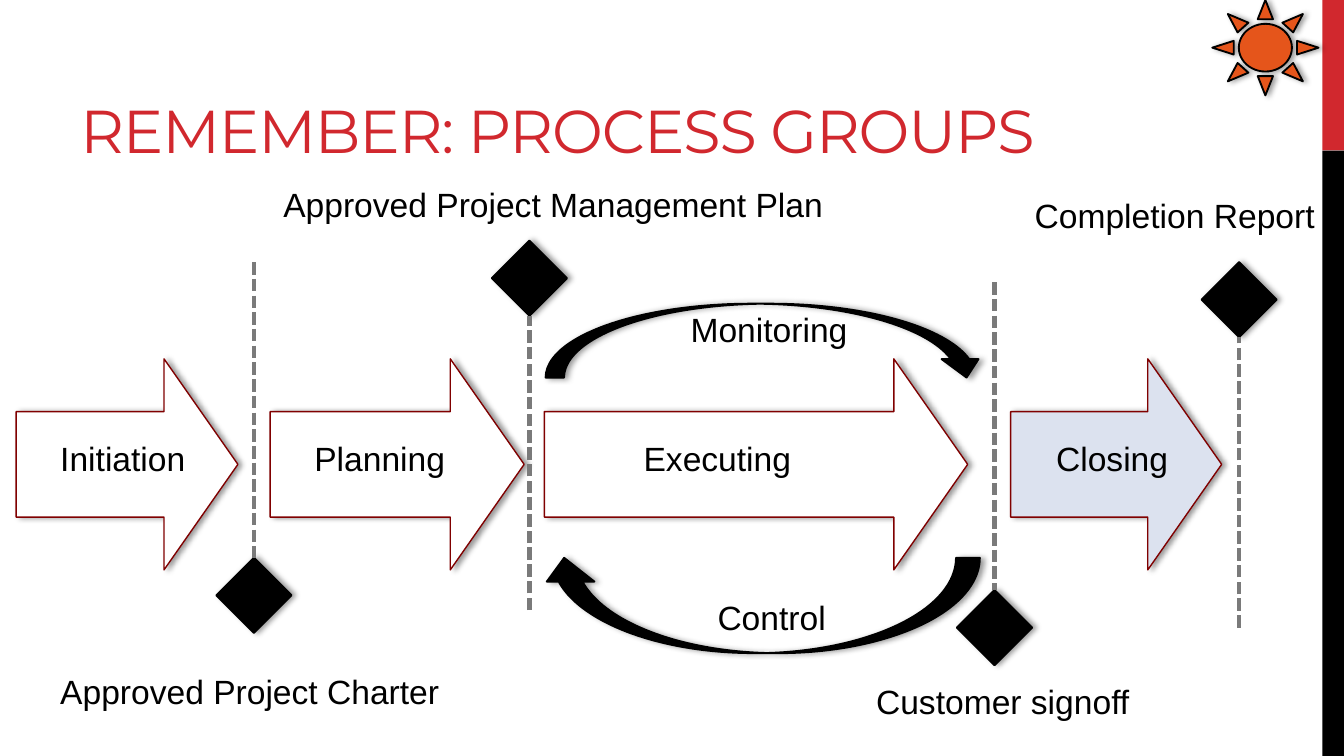
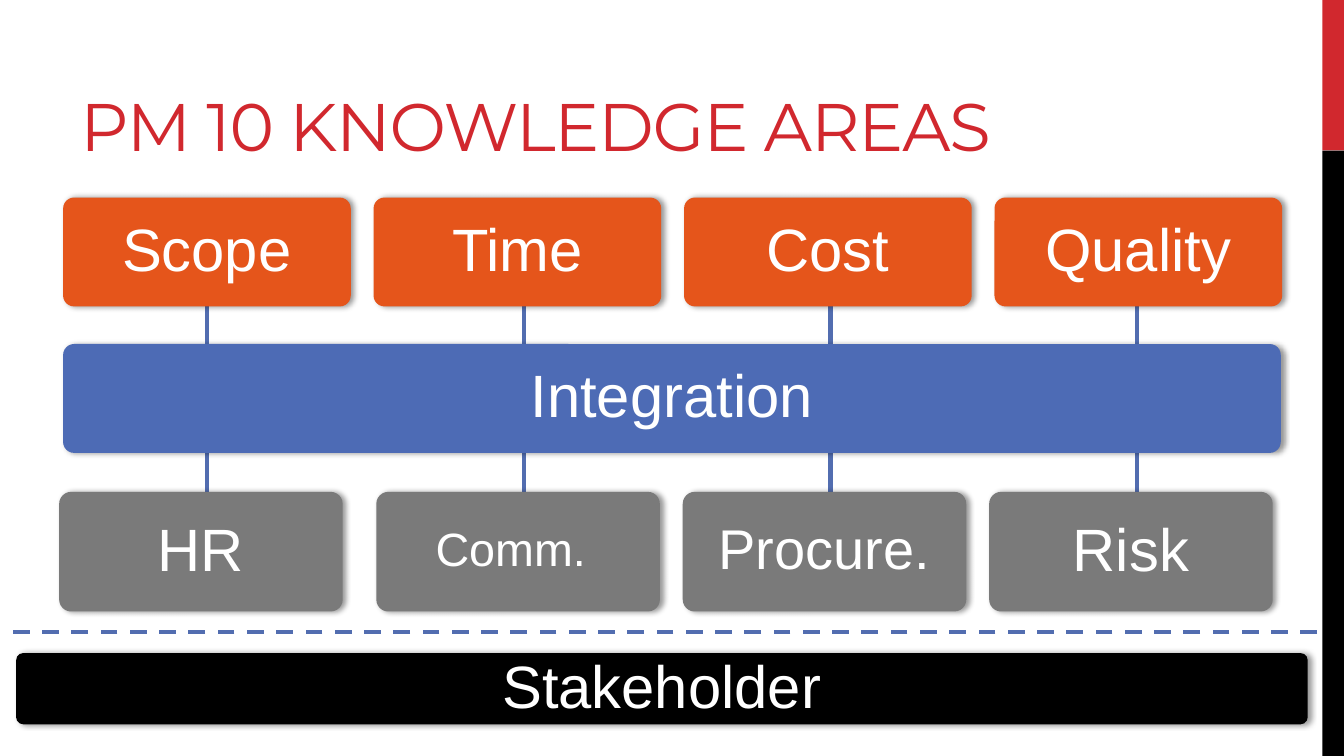
from dataclasses import dataclass
from typing import Any, Optional

from lxml import etree
from pptx import Presentation
from pptx.dml.color import RGBColor
from pptx.enum.dml import MSO_LINE
from pptx.enum.shapes import MSO_CONNECTOR, MSO_SHAPE
from pptx.enum.text import MSO_ANCHOR, MSO_AUTO_SIZE, PP_ALIGN
from pptx.oxml.ns import qn
from pptx.util import Pt

RECT, ROUNDED = MSO_SHAPE.RECTANGLE, MSO_SHAPE.ROUNDED_RECTANGLE
DOWN_ARROW, CURVED_ARROW = MSO_SHAPE.DOWN_ARROW, MSO_SHAPE.CURVED_UP_ARROW
DIAMOND, SUN = MSO_SHAPE.FLOWCHART_DECISION, MSO_SHAPE.SUN
STRAIGHT = MSO_CONNECTOR.STRAIGHT
SHORT_DASH, DASH = MSO_LINE.SQUARE_DOT, MSO_LINE.DASH
MIDDLE, BOTTOM = MSO_ANCHOR.MIDDLE, MSO_ANCHOR.BOTTOM
FIT_SHAPE, CENTER = MSO_AUTO_SIZE.SHAPE_TO_FIT_TEXT, PP_ALIGN.CENTER
TOP_SIDE, BOTTOM_SIDE = 0, 2

EMU_PER_PX = 9144
RED, BLACK, WHITE = "D1282E", "000000", "FFFFFF"
ORANGE, BLUE, GREY = "E5551B", "4D6BB5", "7A7A7A"
MAROON, PALE, LINE_BLUE = "800000", "DCE2EF", "526DB0"
BODY_FONT, TITLE_FONT = "Arial", "Montserrat"
FLOW_Y, ARROW_H, DIAMOND_SIZE = 345, 157, 56


@dataclass
class Stage:
    name: str
    left: int
    length: int
    label_left: int
    label_width: int
    fill: str = WHITE


@dataclass
class Loop:
    name: str
    frame: tuple[int, int, int, int]
    label: tuple[int, int, int, int]
    rotation: int = 0


@dataclass
class Milestone:
    name: str
    center: int
    top: int
    line_start: int
    label: tuple[int, int, int, int]


@dataclass
class Area:
    name: str
    frame: tuple[int, int, int, int]
    fill: str
    size: int = 32
    inset: int = 17
    shift: int = 0


STAGES = [
    Stage("Planning", 201, 189, 224, 118),
    Stage("Executing", 405, 315, 469, 131),
    Stage("Closing", 752, 157, 776, 104, PALE),
    Stage("Initiation", 12, 165, 35, 114),
]
LOOPS = [
    Loop("Monitoring", (406, 226, 327, 55), (504, 225, 138, 40)),
    Loop("Control", (402, 415, 327, 71), (524, 439, 102, 40), 180),
]
MILESTONES = [
    Milestone("Approved Project Charter", 189, 415, 195, (35, 494, 306, 40)),
    Milestone("Approved Project Management Plan", 394, 179, 454, (201, 132, 427, 40)),
    Milestone("Customer signoff", 740, 439, 210, (642, 502, 212, 40)),
    Milestone("Completion Report", 922, 195, 467, (760, 140, 231, 40)),
]
SUPPORT_X = (44, 280, 508, 736)
CORE = [
    Area(name, (47 + 231 * i, 147, 214, 81), ORANGE, inset=13)
    for i, name in enumerate(("Scope", "Time", "Cost", "Quality"))
]
SUPPORT = [
    Area(name, (x, 366, 211, 89), GREY, size, shift=shift)
    for x, (name, size, shift) in zip(
        SUPPORT_X, (("HR", 32, 0), ("Comm.", 25, 11), ("Procure.", 30, 0), ("Risk", 32, 0))
    )
]
INTEGRATION = Area("Integration", (47, 256, 906, 81), BLUE, inset=13)
STAKEHOLDER = Area("Stakeholder", (12, 486, 961, 53), BLACK)


def px(value: int) -> int:
    """Turn px into EMU."""
    return value * EMU_PER_PX


def color(value: str) -> RGBColor:
    """Turn a hex string into a colour."""
    return RGBColor.from_string(value)


def apply(target: Any, values: dict[str, Any]) -> None:
    """Set each named attribute on the target."""
    for name, value in values.items():
        setattr(target, name, value)


def add_shadow(sp: Any) -> None:
    """Give a shape the soft shadow of the theme."""
    effects = sp.element.spPr.find(qn("a:effectLst"))
    shadow = etree.SubElement(
        effects, qn("a:outerShdw"),
        blurRad=str(Pt(3.1)), dist=str(Pt(1.8)), dir="0", rotWithShape="0",
    )
    tint = etree.SubElement(shadow, qn("a:srgbClr"), val=BLACK)
    etree.SubElement(tint, qn("a:alpha"), val="40000")


def draw_shape(
    s: Any, kind: Any, frame: tuple[int, int, int, int], fill: str,
    line: Optional[str] = None, width: float = 1, shadow: bool = True,
) -> Any:
    """Draw a filled preset shape."""
    sp = s.shapes.add_shape(kind, *map(px, frame))
    sp.shadow.inherit = False
    sp.fill.solid()
    sp.fill.fore_color.rgb = color(fill)
    if line:
        sp.line.color.rgb = color(line)
        sp.line.width = Pt(width)
    else:
        sp.line.fill.background()
    if shadow:
        add_shadow(sp)
    return sp


def draw_line(
    s: Any, start: tuple[int, int], end: tuple[int, int],
    line: str = LINE_BLUE, dash: Any = None,
) -> Any:
    """Draw a straight connector."""
    cx = s.shapes.add_connector(STRAIGHT, *map(px, start + end))
    cx.line.color.rgb = color(line)
    apply(cx.line, {"width": Pt(2.25), "dash_style": dash})
    etree.SubElement(cx.element.spPr, qn("a:effectLst"))
    return cx


def write(
    sp: Any, text: str, size: float, ink: str, frame: dict[str, Any],
    paragraph: dict[str, Any], font: str = BODY_FONT,
) -> Any:
    """Write one run into a shape and return the run."""
    tf = sp.text_frame
    apply(tf, frame)
    p = tf.paragraphs[0]
    apply(p, paragraph)
    r = p.add_run()
    r.text = text
    apply(r.font, {"name": font, "size": Pt(size)})
    r.font.color.rgb = color(ink)
    return r


def draw_label(s: Any, text: str, frame: tuple[int, int, int, int]) -> None:
    """Draw a one-line caption."""
    sp = s.shapes.add_textbox(*map(px, frame))
    write(sp, text, 18, BLACK, {"word_wrap": False, "auto_size": FIT_SHAPE}, {})


def add_slide(prs: Any) -> Any:
    """Add a blank slide with the side bands."""
    s = prs.slides.add_slide(prs.slide_layouts[6])
    draw_shape(s, RECT, (984, 0, 16, 112), RED, shadow=False)
    draw_shape(s, RECT, (984, 112, 16, 451), BLACK, shadow=False)
    return s


def draw_title(s: Any, text: str, size: float, width: int) -> None:
    """Draw the slide title."""
    sp = s.shapes.add_textbox(*map(px, (50, 13, width, 112)))
    frame = {"word_wrap": True, "vertical_anchor": BOTTOM, "margin_bottom": px(2)}
    r = write(sp, text, size, RED, frame, {}, TITLE_FONT)
    r.font._element.set("spc", "-60")


def draw_stage(s: Any, stage: Stage) -> None:
    """Draw a process arrow pointing right."""
    frame = (
        stage.left + (stage.length - ARROW_H) // 2,
        FLOW_Y - stage.length // 2, ARROW_H, stage.length,
    )
    sp = draw_shape(s, DOWN_ARROW, frame, stage.fill, MAROON, 0.75)
    sp.rotation = 270
    sp.adjustments[0], sp.adjustments[1] = 0.5, 0.35


def draw_loop(s: Any, loop: Loop) -> None:
    """Draw a curved arrow with its caption."""
    sp = draw_shape(s, CURVED_ARROW, loop.frame, BLACK, BLACK)
    sp.rotation = loop.rotation
    sp.element.spPr.get_or_add_xfrm().set("flipV", "1")
    draw_label(s, loop.name, loop.label)


def draw_milestone(s: Any, milestone: Milestone) -> None:
    """Draw a diamond, its dashed line and its caption."""
    x, top = milestone.center, milestone.top
    frame = (x - DIAMOND_SIZE // 2, top, DIAMOND_SIZE, DIAMOND_SIZE)
    sp = draw_shape(s, DIAMOND, frame, BLACK, BLACK)
    cx = draw_line(s, (x, milestone.line_start), (x, top), GREY, SHORT_DASH)
    cx.end_connect(sp, TOP_SIDE if milestone.line_start < top else BOTTOM_SIDE)
    draw_label(s, milestone.name, milestone.label)


def draw_area(s: Any, area: Area) -> Any:
    """Draw a rounded box with its name."""
    sp = draw_shape(s, ROUNDED, area.frame, area.fill)
    sp.adjustments[0] = 0.1
    inset = px(area.inset)
    frame = {
        "word_wrap": True, "vertical_anchor": MIDDLE,
        "margin_left": inset, "margin_top": inset, "margin_bottom": inset,
        "margin_right": inset + px(area.shift),
    }
    write(sp, area.name, area.size, WHITE, frame, {"alignment": CENTER, "line_spacing": 0.9})
    return sp


def build_process_groups(prs: Any) -> None:
    """Build the process groups slide."""
    s = add_slide(prs)
    draw_title(s, "REMEMBER: PROCESS GROUPS", 32.4, 867)
    for stage in STAGES:
        draw_stage(s, stage)
    for stage in STAGES:
        draw_label(s, stage.name, (stage.label_left, 321, stage.label_width, 40))
    for loop in LOOPS:
        draw_loop(s, loop)
    for milestone in MILESTONES:
        draw_milestone(s, milestone)
    draw_shape(s, SUN, (902, 0, 79, 71), ORANGE, BLACK)


def build_knowledge_areas(prs: Any) -> None:
    """Build the knowledge areas slide."""
    s = add_slide(prs)
    links = [
        draw_line(s, (x + 110, top), (x + 110, top + 37))
        for top in (226, 329) for x in SUPPORT_X
    ]
    draw_title(s, "PM 10 KNOWLEDGE AREAS", 36, 820)
    for area in [*SUPPORT, STAKEHOLDER, INTEGRATION]:
        draw_area(s, area)
    boxes = [draw_area(s, area) for area in CORE]
    links[0].begin_connect(boxes[0], BOTTOM_SIDE)
    draw_line(s, (980, 470), (8, 470), dash=DASH)


def main() -> None:
    """Build and save the presentation."""
    prs = Presentation()
    prs.slide_width = px(1000)
    prs.slide_height = prs.slide_width * 9 // 16
    build_process_groups(prs)
    build_knowledge_areas(prs)
    prs.save("out.pptx")


if __name__ == "__main__":
    main()
